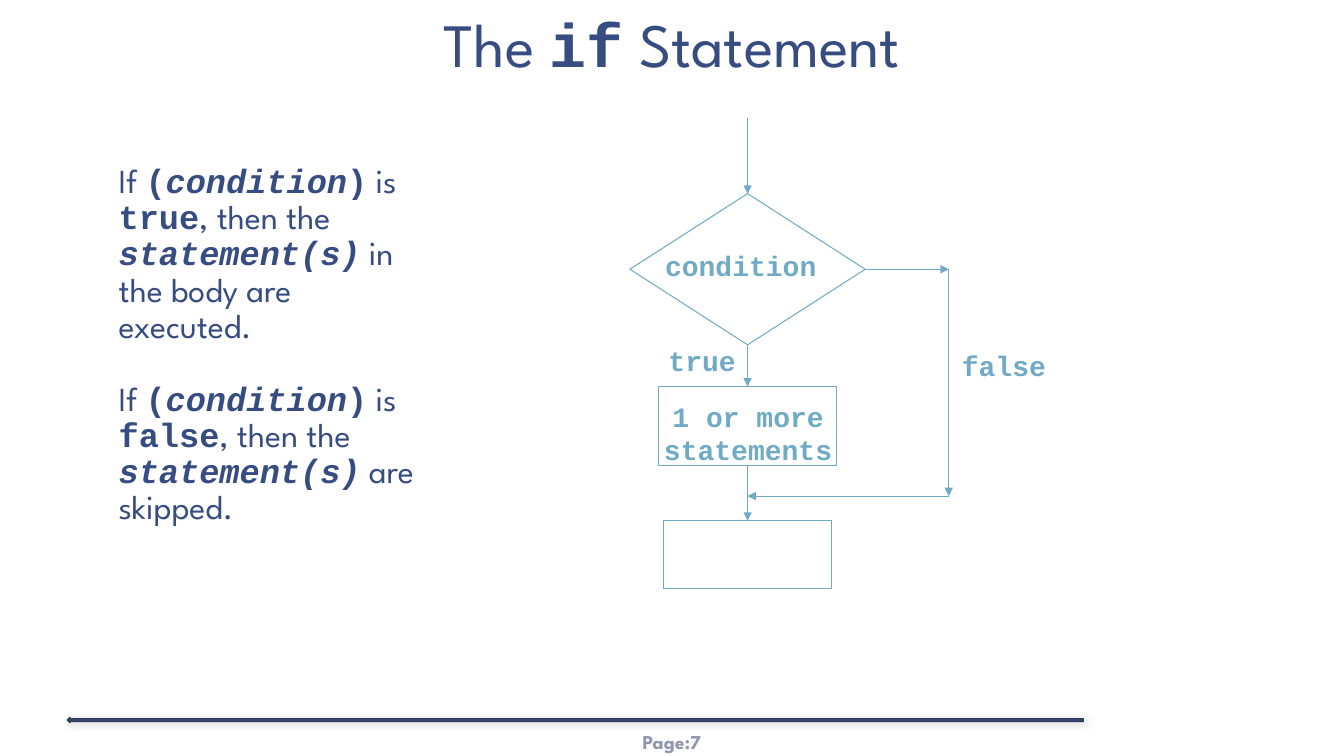
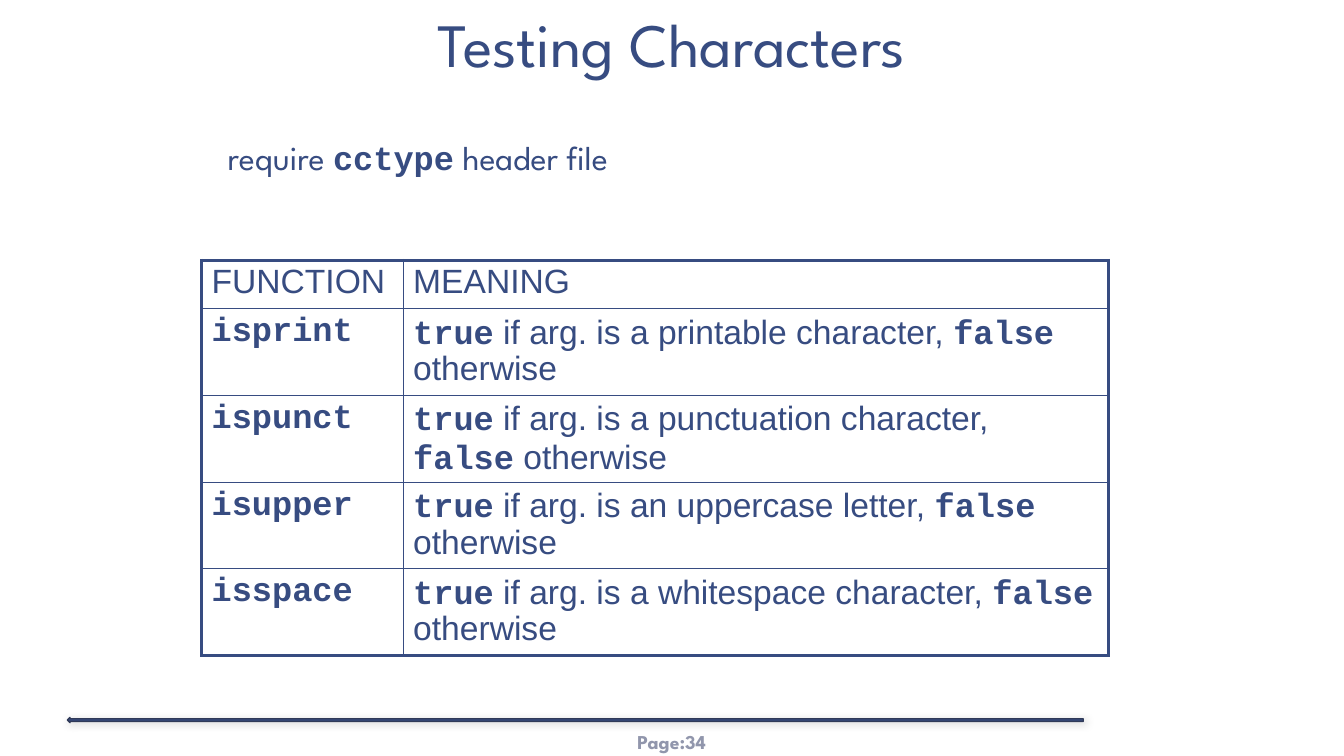
from dataclasses import dataclass

from lxml import etree
from pptx import Presentation
from pptx.dml.color import RGBColor
from pptx.enum.shapes import MSO_CONNECTOR, MSO_SHAPE
from pptx.enum.text import MSO_ANCHOR, PP_ALIGN
from pptx.oxml import parse_xml
from pptx.oxml.ns import nsdecls, qn
from pptx.util import Cm, Pt

LEFT, MID = PP_ALIGN.LEFT, PP_ALIGN.CENTER
TOP, CENTER, LOW = MSO_ANCHOR.TOP, MSO_ANCHOR.MIDDLE, MSO_ANCHOR.BOTTOM
ARROW, STEP, CHOICE = (MSO_SHAPE.LEFT_ARROW, MSO_SHAPE.FLOWCHART_PROCESS,
                       MSO_SHAPE.FLOWCHART_DECISION)
STRAIGHT = MSO_CONNECTOR.STRAIGHT
NORTH, SOUTH, EAST = 0, 2, 3


@dataclass(frozen=True)
class Theme:
    ink: str = "374C81"
    edge: str = "303A58"
    flow: str = "70AAC4"
    mute: str = "9196AC"
    sans: str = "League Spartan"
    grid: str = "Arial"
    code: str = "Courier New"
    title: int = 44
    body: int = 24
    label: int = 20
    foot: int = 14
    thin: float = 0.75
    rule: float = 1
    frame: float = 2.25


T = Theme()

# Content: `...` is code, *...* inside code is italic
IF_TITLE = "The `if` Statement"
IF_PAGE = 7
IF_TEXT = [
    "If `(*condition*)` is `true`, then the `*statement(s)*` in the body are executed.",
    "If `(*condition*)` is `false`, then the `*statement(s)*` are skipped.",
]
LABELS = [  # lines, left, top, width, height in cm
    (["condition"], 16.31, 6.13, 4.72, 1.09),
    (["1 or more", "statements"], 16.28, 9.93, 5.15, 1.96),
    (["true"], 16.39, 8.53, 2.61, 1.09),
    (["false"], 23.8, 8.64, 3, 1.09),
]
TEST_TITLE = "Testing Characters"
TEST_PAGE = 34
TEST_TEXT = ["require `cctype` header file"]
HEAD = ("FUNCTION", "MEANING")
TESTS = [
    ("isprint", "a printable character"),
    ("ispunct", "a punctuation character"),
    ("isupper", "an uppercase letter"),
    ("isspace", "a whitespace character"),
]

# Layout in cm
WIDE, HIGH = 33.87, 19.05
COLS = (5.08, 17.78)
ROWS = (1.22,) + (2.18,) * len(TESTS)
AXIS = 18.84  # centre line of the flow chart
SIDE = 23.91  # line of the false branch
JOIN = 12.5   # height where the branches meet


def rgb(tone):
    return RGBColor.from_string(tone)


# Text
def style(font, name, size, tone, bold=False):
    font.name, font.size, font.bold = name, Pt(size), bold
    font.color.rgb = rgb(tone)


def write(para, text, name, size, tone, bold=False):
    style(para.font, name, size, tone, bold)
    for i, part in enumerate(text.split("`")):
        for j, bit in enumerate(part.split("*")):
            if bit:
                run = para.add_run()
                run.text = bit
                if i % 2:
                    run.font.name, run.font.bold = T.code, True
                if j % 2:
                    run.font.italic = True


def add_text(slide, lines, box, name, size, tone, bold=False, align=LEFT,
             anchor=TOP, pads=(0.25, 0.13), space=1.0, gap=0, wrap=True):
    frame = slide.shapes.add_textbox(*map(Cm, box)).text_frame
    frame.word_wrap, frame.vertical_anchor = wrap, anchor
    frame.margin_left = frame.margin_right = Cm(pads[0])
    frame.margin_top = frame.margin_bottom = Cm(pads[1])
    for i, line in enumerate(lines):
        para = frame.add_paragraph() if i else frame.paragraphs[0]
        para.alignment, para.line_spacing = align, space
        if i:
            para.space_before = Pt(gap)
        write(para, line, name, size, tone, bold)


# Shapes and lines
def add_box(slide, kind, box, line, width, fill=None):
    shape = slide.shapes.add_shape(kind, *map(Cm, box))
    shape.shadow.inherit = False
    if fill:
        shape.fill.solid()
        shape.fill.fore_color.rgb = rgb(fill)
    else:
        shape.fill.background()
    shape.line.color.rgb, shape.line.width = rgb(line), Pt(width)
    return shape


def add_arrow(slide, start, end, tail=None, head=None):
    """Draw from start to end; tail and head are (shape, site) joints."""
    link = slide.shapes.add_connector(STRAIGHT, *map(Cm, start + end))
    link.line.color.rgb, link.line.width = rgb(T.flow), Pt(T.thin)
    if tail:
        link.begin_connect(*tail)
    if head:
        link.end_connect(*head)
    etree.SubElement(link.line._get_or_add_ln(), qn("a:tailEnd"), type="triangle")
    etree.SubElement(link._element.spPr, qn("a:effectLst"))


# Parts every slide shares
def add_slide(deck, title, page):
    slide = deck.slides.add_slide(deck.slide_layouts[6])
    add_text(slide, [f"Page:{page}"], (14.68, 18.19, 4.5, 1.02), T.sans, T.foot,
             T.mute, True, MID, CENTER, (0.1, 0.05))
    bar = add_box(slide, ARROW, (1.7, 18.08, 25.6, 0.13), T.edge, T.rule, T.ink)
    glow = bar._element.spPr.find(qn("a:effectLst"))
    glow.append(parse_xml(
        f'<a:outerShdw {nsdecls("a")} blurRad="76200" dist="12700" dir="2700000">'
        '<a:srgbClr val="000000"><a:alpha val="20000"/></a:srgbClr></a:outerShdw>'))
    add_text(slide, [title], (0, 0, WIDE, 2.2), T.sans, T.title, T.ink,
             align=MID, anchor=LOW, pads=(0.33, 0.18), space=0.85)
    return slide


# Flow chart
def add_flow(slide):
    def node(kind, top, wide, high):
        box = (AXIS - wide / 2, top, wide, high)
        return add_box(slide, kind, box, T.flow, T.thin)

    test = node(CHOICE, 4.88, 5.93, 3.81)
    work = node(STEP, 9.74, 4.5, 2)
    after = node(STEP, 13.12, 4.24, 1.7)
    for lines, *box in LABELS:
        add_text(slide, lines, box, T.code, T.label, T.flow, True, MID, wrap=False)

    turn = 4.88 + 3.81 / 2
    add_arrow(slide, (AXIS, 2.97), (AXIS, 4.88), head=(test, NORTH))
    add_arrow(slide, (AXIS, 8.69), (AXIS, 9.74), (test, SOUTH), (work, NORTH))
    add_arrow(slide, (AXIS + 5.93 / 2, turn), (SIDE, turn), (test, EAST))
    add_arrow(slide, (SIDE, turn), (SIDE, JOIN))
    add_arrow(slide, (SIDE, JOIN), (AXIS, JOIN))
    add_arrow(slide, (AXIS, 11.74), (AXIS, 13.12), (work, SOUTH), (after, NORTH))


# Table
def add_edges(cell, row, col):
    outer = {"L": col == 0, "R": col == len(COLS) - 1,
             "T": row == 0, "B": row == len(ROWS) - 1}
    for side, out in outer.items():
        width = Pt(T.frame if out else T.rule)
        cell._tc.get_or_add_tcPr().append(parse_xml(
            f'<a:ln{side} {nsdecls("a")} w="{width}"><a:solidFill>'
            f'<a:srgbClr val="{T.ink}"/></a:solidFill></a:ln{side}>'))


def add_tests(slide):
    rows = [HEAD] + [(f"`{name}`", f"`true` if arg. is {kind}, `false` otherwise")
                     for name, kind in TESTS]
    size = (5.08, 6.56, sum(COLS), sum(ROWS))
    table = slide.shapes.add_table(len(ROWS), len(COLS), *map(Cm, size)).table
    table.first_row = table.horz_banding = False
    for col, wide in zip(table.columns, COLS):
        col.width = Cm(wide)
    for i, texts in enumerate(rows):
        table.rows[i].height = Cm(ROWS[i])
        for j, text in enumerate(texts):
            cell = table.cell(i, j)
            add_edges(cell, i, j)
            cell.fill.background()
            para = cell.text_frame.paragraphs[0]
            para.line_spacing = 0.95
            write(para, text, T.grid, T.body, T.ink)


def main():
    deck = Presentation()
    deck.slide_width, deck.slide_height = Cm(WIDE), Cm(HIGH)

    slide = add_slide(deck, IF_TITLE, IF_PAGE)
    add_text(slide, IF_TEXT, (2.74, 4.01, 8.26, 9.5), T.sans, T.body, T.ink,
             space=0.9, gap=26)
    add_flow(slide)

    slide = add_slide(deck, TEST_TITLE, TEST_PAGE)
    add_text(slide, TEST_TEXT, (5.49, 3.4, 22.02, 1.9), T.sans, T.body, T.ink,
             space=0.95)
    add_tests(slide)

    deck.save("out.pptx")


if __name__ == "__main__":
    main()
